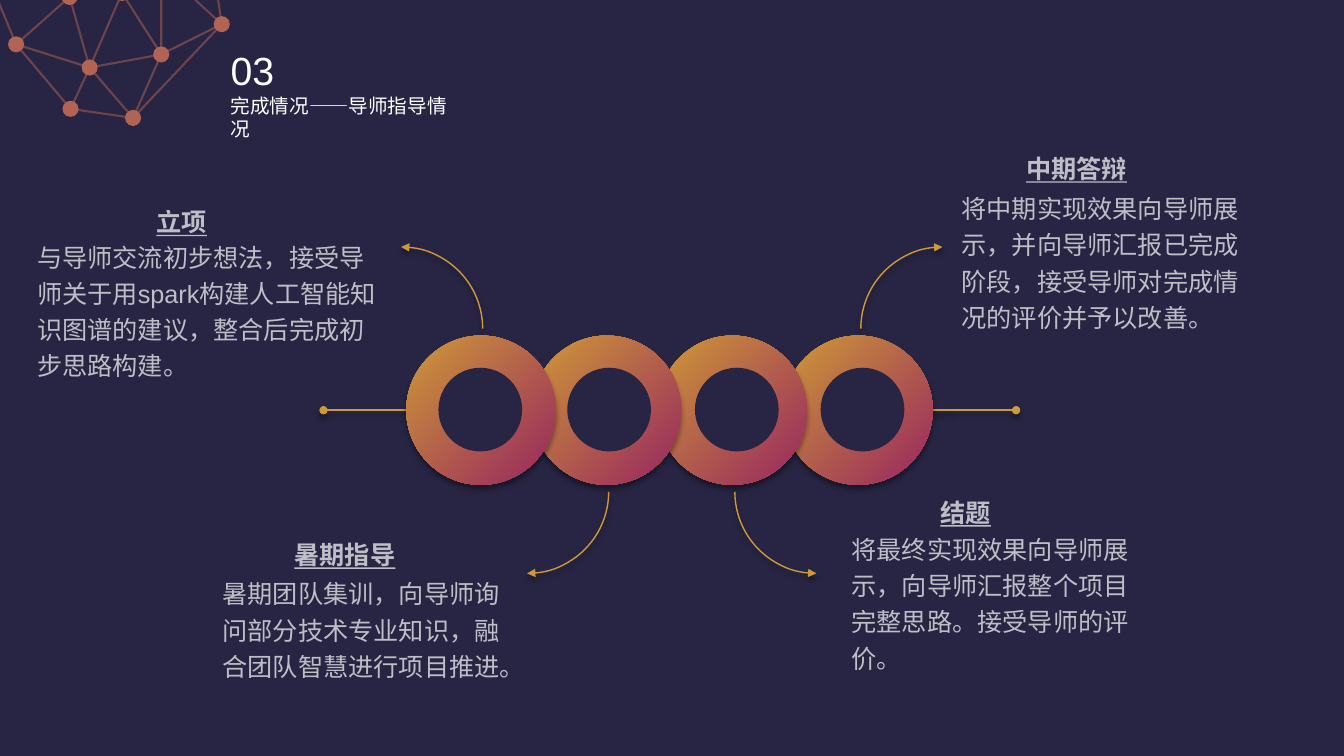
from collections import namedtuple
from dataclasses import dataclass

from lxml.etree import SubElement
from pptx import Presentation
from pptx.dml.color import RGBColor
from pptx.enum.shapes import MSO_CONNECTOR as Connector, MSO_SHAPE as Shape
from pptx.enum.text import PP_ALIGN as Align
from pptx.oxml.ns import qn
from pptx.util import Pt

Box = namedtuple("Box", "left top width height")


@dataclass(frozen=True)
class Theme:
    navy: RGBColor = RGBColor.from_string("282544")
    gold: RGBColor = RGBColor.from_string("CE9A37")
    plum: RGBColor = RGBColor.from_string("982560")
    copper: RGBColor = RGBColor.from_string("B26454")
    white: RGBColor = RGBColor.from_string("FFFFFF")
    number: int = 28
    caption: int = 14
    note: int = 18
    font: str = "Arial"
    narrow: str = "Arial Narrow"


THEME = Theme()
NODES = [(0.69, -0.03), (1.6, 0.54), (1.21, -0.07), (0.89, 0.67),
         (2.2, 0.24), (0.16, 0.44), (1.32, 1.17), (0.7, 1.08)]
ANCHORS = [(1.6, -0.31), (2.1, -0.43), (-0.08, -0.14)]
EDGES = [(1, 8), (1, 2), (2, 3), (1, 3), (0, 3), (8, 4), (9, 4), (1, 4),
         (0, 5), (3, 5), (3, 6), (1, 6), (4, 6), (5, 7), (3, 7), (6, 7),
         (5, 10)]
NOTES = [
    ("中期答辩", "将中期实现效果向导师展示，并向导师汇报已完成阶段，接受导师对完成情况的评价并予以改善。",
     Box(679.7, 130.3, 224.6, 109.4), 46.1, -28.8, Align.LEFT),
    ("暑期指导", "暑期团队集训，向导师询问部分技术专业知识，融合团队智慧进行项目推进。",
     Box(151.9, 405.4, 224.6, 83.5), -38.9, -28.1, Align.RIGHT),
    ("立项", "与导师交流初步想法，接受导师关于用spark构建人工智能知识图谱的建议，整合后完成初步思路构建。",
     Box(19.4, 164.9, 260.6, 109.4), -41, -25.2, Align.RIGHT),
    ("结题", "将最终实现效果向导师展示，向导师汇报整个项目完整思路。接受导师的评价。",
     Box(601.2, 373.7, 224.6, 109.4), 63.4, -26.6, Align.LEFT),
]


def apply_formats(target, formats):
    for name, value in formats.items():
        setattr(target, name, value)


def set_alpha(element, percent):
    for color in element.iter(qn("a:srgbClr")):
        SubElement(color, qn("a:alpha"), val=str(percent * 1000))


def effects(shape):
    properties = shape._element.spPr
    found = properties.find(qn("a:effectLst"))
    return SubElement(properties, qn("a:effectLst")) if found is None else found


def drop_shadow(shape):
    shadow = SubElement(effects(shape), qn("a:outerShdw"), blurRad="50800",
                        dist="38100", dir="5400000", algn="t", rotWithShape="0")
    black = SubElement(shadow, qn("a:srgbClr"), val="000000")
    SubElement(black, qn("a:alpha"), val="40000")


def set_line(shape, color, width, end=None, kind=None):
    shape.line.color.rgb = color
    shape.line.width = Pt(width)
    if end:
        SubElement(shape.line._get_or_add_ln(), qn(end), type=kind)


def add_preset(slide, preset, box):
    shape = slide.shapes.add_shape(preset, *map(Pt, box))
    shape.shadow.inherit = False
    return shape


def add_disc(slide, box, color):
    disc = add_preset(slide, Shape.OVAL, box)
    disc.fill.solid()
    disc.fill.fore_color.rgb = color
    disc.line.fill.background()


def add_link(slide, start, end):
    return slide.shapes.add_connector(Connector.STRAIGHT, *map(Pt, start + end))


def add_text(slide, box, text, formats, alpha=None, **paragraph_formats):
    frame = slide.shapes.add_textbox(*map(Pt, box)).text_frame
    frame.word_wrap = True
    paragraph = frame.paragraphs[0]
    apply_formats(paragraph, paragraph_formats)
    run = paragraph.add_run()
    run.text = text
    run.font.color.rgb = THEME.white
    apply_formats(run.font, formats)
    if alpha:
        set_alpha(run._r, alpha)


def draw_network(slide, box):
    points = [(box.left + x * 72, box.top + y * 72) for x, y in NODES + ANCHORS]
    for start, end in EDGES:
        edge = add_link(slide, points[start], points[end])
        set_line(edge, THEME.copper, 1.5)
        set_alpha(edge.line._get_or_add_ln(), 50)
        effects(edge)
    size = 11.5
    for x, y in points[:len(NODES)]:
        add_disc(slide, Box(x - size / 2, y - size / 2, size, size), THEME.copper)


def draw_header(slide, box):
    add_text(slide, Box(box.left, box.top, 60, 41), "03",
             {"size": Pt(THEME.number), "name": THEME.font})
    add_text(slide, Box(box.left, box.top + 33.8, box.width, 24.5),
             "完成情况——导师指导情况",
             {"size": Pt(THEME.caption), "name": THEME.narrow})


def draw_arc(slide, box, flips):
    arc = add_preset(slide, Shape.ARC, box)
    arc.fill.background()
    set_line(arc, THEME.gold, 1, "a:headEnd", "triangle")
    apply_flips = arc._element.spPr.find(qn("a:xfrm")).set
    for flip in flips:
        apply_flips(flip, "1")
    drop_shadow(arc)


def draw_ring(slide, box, hole_offset):
    ring = add_preset(slide, Shape.OVAL, box)
    ring.fill.gradient()
    ring.fill.gradient_angle = 315
    for stop, color, position in zip(ring.fill.gradient_stops,
                                     (THEME.gold, THEME.plum), (0, 1)):
        stop.color.rgb = color
        stop.position = position
    ring.line.fill.background()
    drop_shadow(ring)
    add_disc(slide, Box(box.left + hole_offset, box.top + 23, 59.8, 59.8), THEME.navy)


def draw_chain(slide, box):
    middle = box.top + box.height / 2
    right = box.left + box.width
    for start, end in ((box.left + 448.6, box.left), (box.left + 435.6, right)):
        axis = add_link(slide, (start, middle), (end, middle))
        set_line(axis, THEME.gold, 1, "a:tailEnd", "oval")
        drop_shadow(axis)
    arc = box.height / 2
    for offset, top, flips in ((-2.9, box.top, []),
                               (383.8, box.top, ["flipH"]),
                               (87.1, middle, ["flipV"]),
                               (293.8, middle, ["flipH", "flipV"])):
        draw_arc(slide, Box(box.left + offset, top, arc, arc), flips)
    ring, pitch = 106.6, 89.8
    for index, hole_offset in reversed(list(enumerate((23, 25.2, 26.6, 26.6)))):
        left = box.left + 59.1 + index * pitch
        draw_ring(slide, Box(left, middle - ring / 2, ring, ring), hole_offset)


def draw_note(slide, box, heading, body, shift, rise, align):
    style = {"size": Pt(THEME.note), "name": THEME.font}
    add_text(slide, box, body, style, 70, line_spacing=1.2)
    add_text(slide, Box(box.left + shift, box.top + rise, 176.4, 31), heading,
             {**style, "bold": True, "underline": True}, 70,
             line_spacing=1.2, alignment=align)


def main():
    deck = Presentation()
    apply_formats(deck, {"slide_width": Pt(960), "slide_height": Pt(540)})
    slide = deck.slides.add_slide(deck.slide_layouts[6])
    slide.background.fill.solid()
    slide.background.fill.fore_color.rgb = THEME.navy
    draw_chain(slide, Box(231.1, 176.4, 494.7, 233.2))
    draw_network(slide, Box(0, 0, 165, 90))
    draw_header(slide, Box(157.7, 29.5, 175, 59))
    for heading, body, box, shift, rise, align in NOTES:
        draw_note(slide, box, heading, body, shift, rise, align)
    deck.save("out.pptx")


if __name__ == "__main__":
    main()
